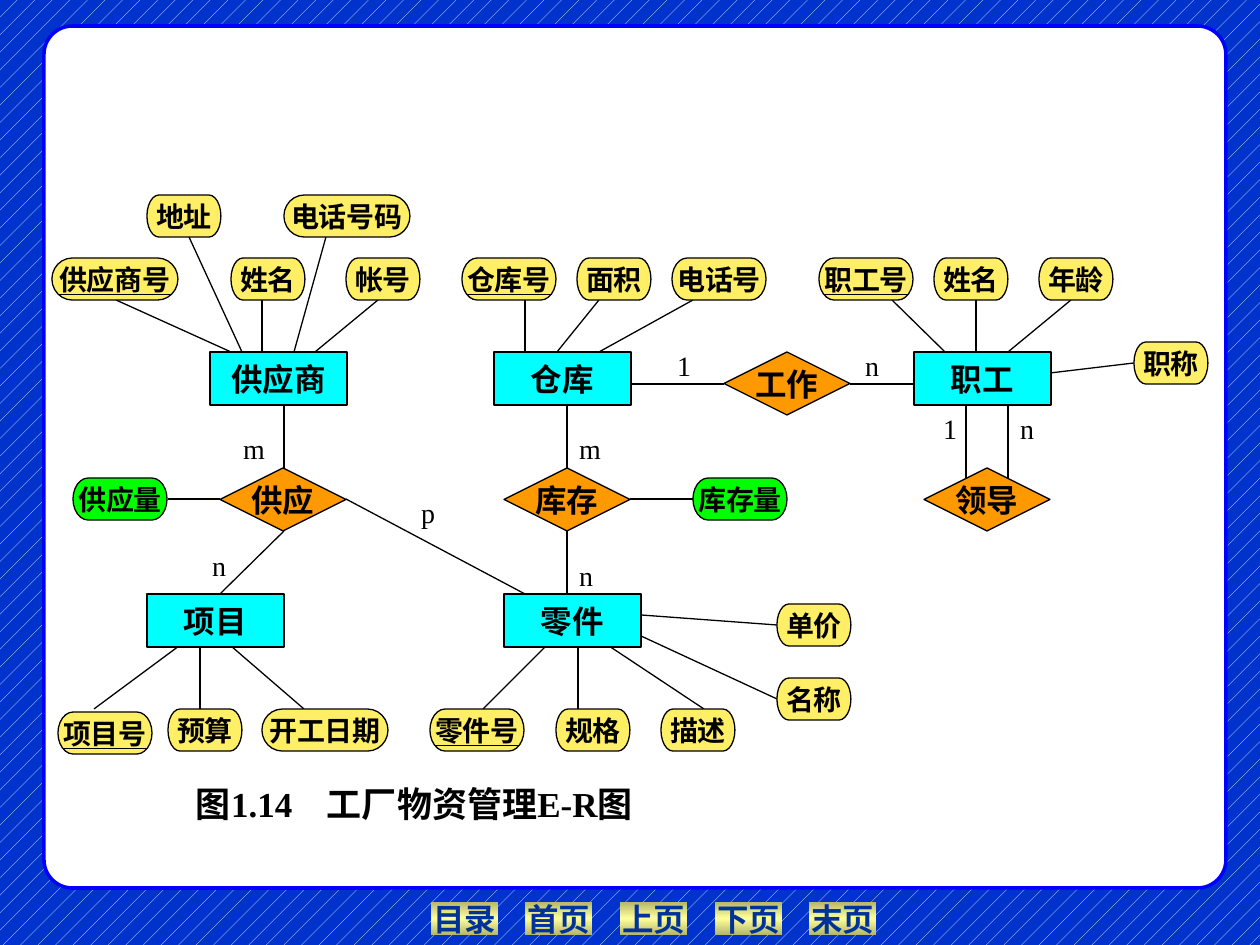
from copy import deepcopy
from typing import NamedTuple

from lxml.etree import SubElement
from pptx import Presentation
from pptx.dml.color import RGBColor
from pptx.enum.dml import MSO_PATTERN
from pptx.enum.shapes import MSO_CONNECTOR, MSO_SHAPE
from pptx.enum.text import MSO_ANCHOR, PP_ALIGN
from pptx.oxml.ns import qn
from pptx.util import Emu, Pt

FONT = "Times New Roman"
BLACK = RGBColor(0x00, 0x00, 0x00)
WHITE = RGBColor(0xFF, 0xFF, 0xFF)
BACKGROUND_BLUE = RGBColor(0x00, 0x33, 0xCC)
FRAME_BLUE = RGBColor(0x00, 0x00, 0xFF)
BUTTON_BLUE = RGBColor(0x00, 0x33, 0x99)
BUTTON_EDGE = RGBColor(0xB6, 0xB6, 0x6D)
BUTTON_MIDDLE = RGBColor(0xFF, 0xFF, 0x99)
CYAN = RGBColor(0x00, 0xFF, 0xFF)
ORANGE = RGBColor(0xFF, 0x99, 0x00)
YELLOW = RGBColor(0xFF, 0xEF, 0x66)
GREEN = RGBColor(0x00, 0xFF, 0x00)

EMU_PER_PX = 914400 / 126
ATTRIBUTE_WIDTHS = {2: 74, 3: 94, 4: 126}


class Style(NamedTuple):
    outline: MSO_SHAPE
    fill: RGBColor
    width: int
    height: int
    size: int


class Node(NamedTuple):
    text: str
    left: int
    top: int
    is_key: bool = False


class Line(NamedTuple):
    x1: int
    y1: int
    x2: int
    y2: int


class Label(NamedTuple):
    text: str
    center_x: int
    center_y: int


ENTITY = Style(MSO_SHAPE.RECTANGLE, CYAN, 137, 53, 18)
RELATION = Style(MSO_SHAPE.FLOWCHART_DECISION, ORANGE, 126, 63, 18)
ATTRIBUTE = Style(MSO_SHAPE.FLOWCHART_TERMINATOR, YELLOW, 0, 42, 16)
QUANTITY = ATTRIBUTE._replace(fill=GREEN)

NODES = {
    ENTITY: [
        Node("供应商", 210, 352), Node("仓库", 494, 352), Node("职工", 914, 352),
        Node("项目", 147, 594), Node("零件", 504, 594),
    ],
    RELATION: [
        Node("供应", 220, 468), Node("工作", 724, 352),
        Node("库存", 504, 468), Node("领导", 924, 468),
    ],
    ATTRIBUTE: [
        Node("地址", 147, 195), Node("电话号码", 284, 195),
        Node("供应商号", 52, 258, True), Node("姓名", 231, 258), Node("帐号", 346, 258),
        Node("仓库号", 462, 258, True), Node("面积", 577, 258), Node("电话号", 672, 258),
        Node("职工号", 819, 258, True), Node("姓名", 934, 258), Node("年龄", 1039, 258),
        Node("职称", 1134, 342),
        Node("项目号", 58, 712, True), Node("预算", 168, 709), Node("开工日期", 262, 709),
        Node("零件号", 430, 709, True), Node("规格", 556, 709), Node("描述", 661, 709),
        Node("名称", 777, 678), Node("单价", 777, 604),
    ],
    QUANTITY: [Node("供应量", 73, 478), Node("库存量", 693, 478)],
}

LINES = [
    Line(231, 352, 116, 300), Line(242, 352, 189, 237), Line(262, 352, 262, 300),
    Line(294, 352, 326, 237), Line(315, 352, 378, 300),
    Line(525, 352, 525, 300), Line(557, 352, 599, 300), Line(599, 352, 693, 300),
    Line(945, 352, 892, 300), Line(976, 352, 976, 300), Line(1008, 352, 1071, 300),
    Line(1050, 373, 1134, 363),
    Line(179, 646, 94, 709), Line(200, 646, 200, 709), Line(231, 646, 304, 709),
    Line(546, 646, 483, 709), Line(578, 646, 578, 709), Line(609, 646, 704, 709),
    Line(641, 636, 777, 699), Line(641, 615, 777, 625),
    Line(220, 499, 168, 499), Line(630, 499, 693, 499),
    Line(284, 468, 284, 405), Line(284, 531, 220, 594), Line(346, 499, 525, 594),
    Line(567, 405, 567, 468), Line(567, 531, 567, 594),
    Line(724, 384, 630, 384), Line(850, 384, 914, 384),
    Line(1008, 405, 1008, 478), Line(966, 405, 966, 478),
]

LABELS = [
    Label("m", 254, 448), Label("n", 219, 565), Label("p", 428, 512),
    Label("m", 590, 448), Label("n", 586, 575),
    Label("1", 950, 428), Label("n", 1027, 428),
    Label("1", 684, 365), Label("n", 872, 365),
]


def px(length: int) -> Emu:
    return Emu(round(length * EMU_PER_PX))


def write_text(shape, text: str, size: int, color=BLACK, bold=True, underline=None) -> None:
    frame = shape.text_frame
    frame.word_wrap = False
    frame.vertical_anchor = MSO_ANCHOR.MIDDLE
    frame.margin_left = frame.margin_right = frame.margin_top = frame.margin_bottom = 0
    paragraph = frame.paragraphs[0]
    paragraph.text = text
    paragraph.alignment = PP_ALIGN.CENTER
    font = paragraph.font
    font.name, font.size, font.bold = FONT, Pt(size), bold
    font.underline = underline
    font.color.rgb = color


def add_plain_shape(slide, outline: MSO_SHAPE, left: int, top: int, width: int, height: int):
    shape = slide.shapes.add_shape(outline, px(left), px(top), px(width), px(height))
    shape.shadow.inherit = False
    return shape


def paint(shape, fill: RGBColor, line: RGBColor, line_width: float) -> None:
    shape.fill.solid()
    shape.fill.fore_color.rgb = fill
    shape.line.color.rgb = line
    shape.line.width = Pt(line_width)


def add_button(slide, text: str, left: int) -> None:
    button = add_plain_shape(slide, MSO_SHAPE.ACTION_BUTTON_CUSTOM, left, 902, 67, 33)
    button.line.fill.background()
    button.fill.gradient()
    button.fill.gradient_angle = 90
    first, last = button.fill.gradient_stops
    first.color.rgb = last.color.rgb = BUTTON_MIDDLE
    first.position, last.position = 0.5, 1
    stops = button._element.spPr.find(f".//{qn('a:gsLst')}")
    stops.insert(1, deepcopy(stops[0]))
    first.position = 0
    first.color.rgb = last.color.rgb = BUTTON_EDGE
    write_text(button, text, 18, BUTTON_BLUE)


def add_node(slide, node: Node, style: Style) -> None:
    width = style.width or ATTRIBUTE_WIDTHS[len(node.text)]
    shape = add_plain_shape(slide, style.outline, node.left, node.top, width, style.height)
    paint(shape, style.fill, BLACK, 0.75)
    write_text(shape, node.text, style.size, underline=node.is_key or None)


def add_line(slide, line: Line) -> None:
    connector = slide.shapes.add_connector(MSO_CONNECTOR.STRAIGHT, *map(px, line))
    connector.line.color.rgb = BLACK
    connector.line.width = Pt(0.75)
    SubElement(connector._element.spPr, qn("a:effectLst"))


def add_label(slide, label: Label) -> None:
    box = slide.shapes.add_textbox(
        px(label.center_x - 16), px(label.center_y - 16), px(32), px(32))
    write_text(box, label.text, 16, bold=False)


def add_caption(slide) -> None:
    box = slide.shapes.add_textbox(px(196), px(776), px(690), px(54))
    paragraph = box.text_frame.paragraphs[0]
    tabs = SubElement(paragraph._p.get_or_add_pPr(), qn("a:tabLst"))
    SubElement(tabs, qn("a:tab"), pos=str(px(131)), algn="l")
    write_text(box, "图1.14\t工厂物资管理E-R图", 20)
    box.text_frame.word_wrap = True
    paragraph.alignment = PP_ALIGN.LEFT


def main() -> None:
    presentation = Presentation()
    presentation.slide_width, presentation.slide_height = px(1260), px(945)
    slide = presentation.slides.add_slide(presentation.slide_layouts[6])
    background = slide.background.fill
    background.patterned()
    background.pattern = MSO_PATTERN.PERCENT_5
    background.fore_color.rgb = WHITE
    background.back_color.rgb = BACKGROUND_BLUE

    for index, text in enumerate(["目录", "首页", "上页", "下页", "末页"]):
        add_button(slide, text, 431 + round(94.5 * index))
    panel = add_plain_shape(slide, MSO_SHAPE.ROUNDED_RECTANGLE, 44, 26, 1182, 862)
    panel.adjustments[0] = 0.033
    paint(panel, WHITE, FRAME_BLUE, 2)

    for line in LINES:
        add_line(slide, line)
    for style, nodes in NODES.items():
        for node in nodes:
            add_node(slide, node, style)
    for label in LABELS:
        add_label(slide, label)
    add_caption(slide)
    presentation.save("out.pptx")


if __name__ == "__main__":
    main()
